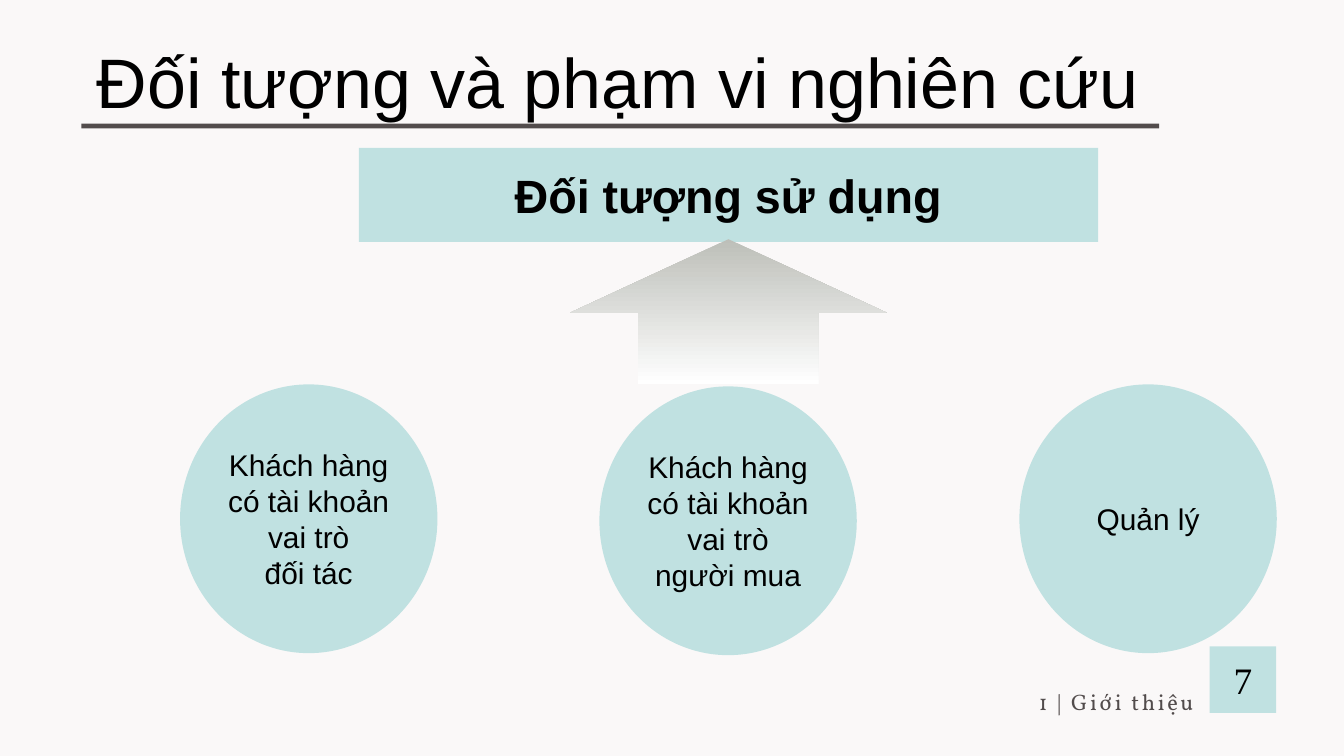
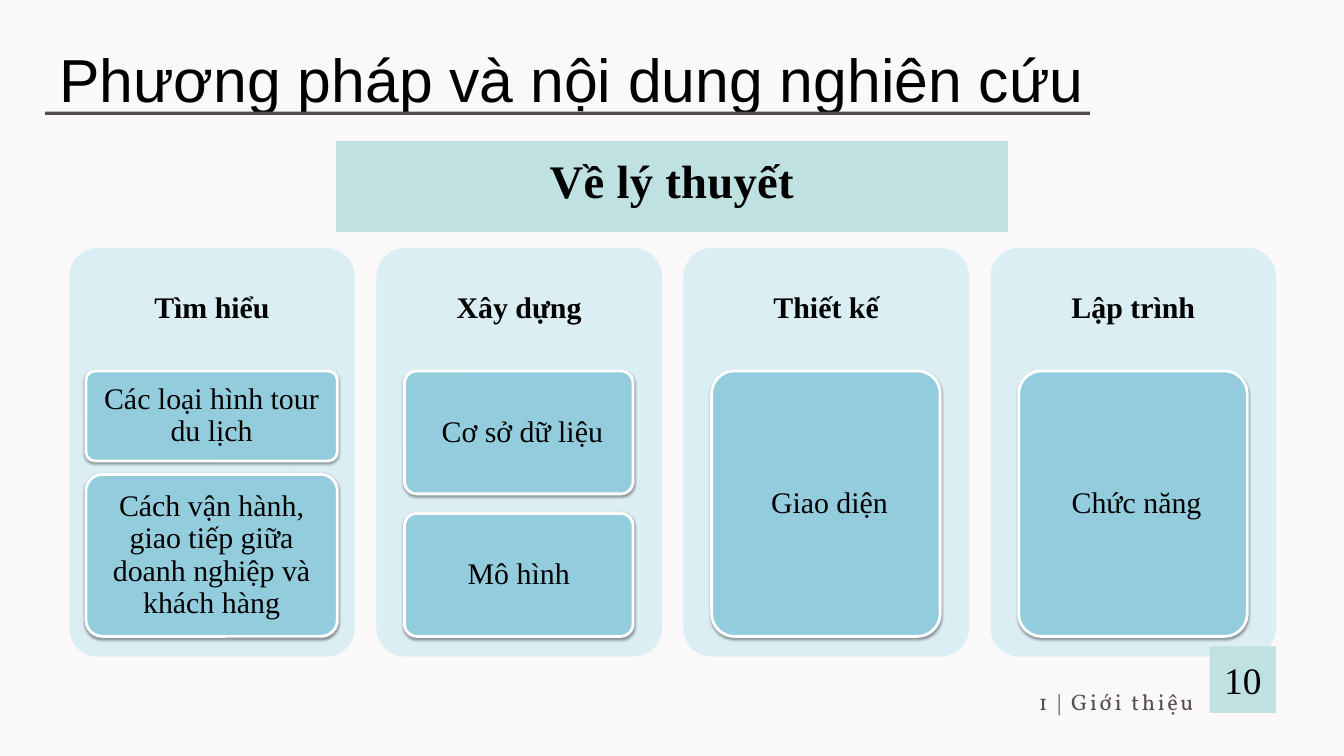
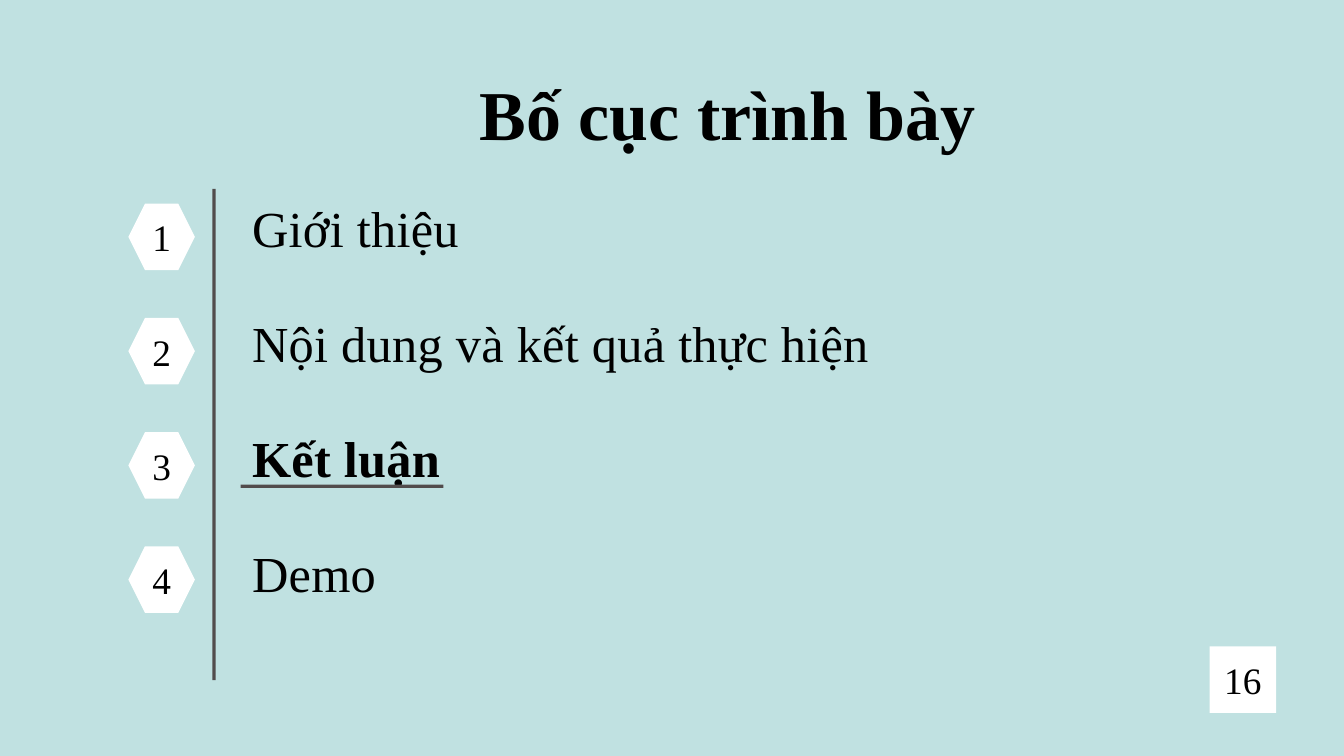
from dataclasses import dataclass

from lxml.etree import SubElement
from pptx import Presentation
from pptx.dml.color import RGBColor
from pptx.enum.shapes import MSO_SHAPE as SHAPE
from pptx.enum.text import MSO_ANCHOR as ANCHOR, MSO_AUTO_SIZE as FIT, PP_ALIGN as ALIGN
from pptx.oxml.ns import qn
from pptx.util import Pt

PX = 9144  # one px is a hundredth of an inch
TITLE_AND_BODY, TITLE_ONLY = 1, 5


@dataclass(frozen=True)
class Style:
    """Type style: font, size and tracking, plus exact or relative leading."""
    name: str
    size: float
    bold: bool = False
    color: str = "000000"
    leading: float = 1.0
    exact: bool = False
    tracking: int = 0


class Theme:
    paper, mint, white = "FAF8F8", "C0E1E1", "FFFFFF"
    rule, panel, card = "524C4C", "DBEEF4", "93CDDD"
    arrow = ("BDBFB9", "FFFFFF")
    serif, sans = "Times New Roman", "Arial"

    title = Style(sans, 75, leading=82.5, exact=True)
    long_title = Style(sans, 65, leading=82.5, exact=True)
    agenda_title = Style(serif, 75, True, leading=82.5, exact=True)
    sans_banner = Style(sans, 50, True)
    serif_banner = Style(serif, 50, True, leading=45, exact=True, tracking=30)
    circle = Style(sans, 32)
    heading = Style(serif, 32, True, leading=0.9)
    card_text = Style(serif, 32, leading=0.9)
    agenda = Style(serif, 54, leading=45, exact=True, tracking=30)
    number = Style(serif, 40)
    footer = Style("Vollkorn", 24, color=rule, leading=33.6, exact=True, tracking=290)


def rgb(value):
    return RGBColor.from_string(value)


def apply(target, **values):
    for name, value in values.items():
        setattr(target, name, value)


class Deck:
    def __init__(self, width, height):
        self.prs = Presentation()
        apply(self.prs, slide_width=width * PX, slide_height=height * PX)
        self.slide = None

    def new_slide(self, background, layout=TITLE_ONLY):
        self.slide = self.prs.slides.add_slide(self.prs.slide_layouts[layout])
        fill = self.slide.background.fill
        fill.solid()
        fill.fore_color.rgb = rgb(background)

    def set_text(self, shape, lines, style, align=ALIGN.CENTER, anchor=ANCHOR.MIDDLE,
                 insets=(10, 5, 10, 5), gap=0, strong=None):
        frame = shape.text_frame
        left, top, right, bottom = (inset * PX for inset in insets)
        apply(frame, word_wrap=True, auto_size=FIT.NONE, vertical_anchor=anchor,
              margin_left=left, margin_top=top, margin_right=right, margin_bottom=bottom)
        for index, line in enumerate(lines):
            paragraph = frame.paragraphs[0] if index == 0 else frame.add_paragraph()
            apply(paragraph, alignment=align, space_before=Pt(gap if index else 0),
                  line_spacing=Pt(style.leading) if style.exact else style.leading)
            run = paragraph.add_run()
            run.text = line
            apply(run.font, name=style.name, size=Pt(style.size),
                  bold=style.bold or line == strong)
            run.font.color.rgb = rgb(style.color)
            if style.tracking:
                run._r.get_or_add_rPr().set("spc", str(style.tracking))

    def place(self, shape, box):
        for name, value in zip(("left", "top", "width", "height"), box):
            setattr(shape, name, value * PX)

    def title(self, text, box, style, align=ALIGN.LEFT):
        title = self.slide.shapes.title
        self.place(title, box)
        self.set_text(title, [text], style, align, ANCHOR.TOP, (0, 0, 0, 0))

    def body(self, lines, box, style, gap, strong):
        body = self.slide.placeholders[1]
        self.place(body, box)
        self.set_text(body, lines, style, ALIGN.LEFT, ANCHOR.TOP, (0, 0, 0, 0), gap, strong)
        for paragraph in body.text_frame.paragraphs:
            props = paragraph._p.get_or_add_pPr()
            props.set("marL", "0")
            props.set("indent", "0")
            SubElement(props, qn("a:buNone"))

    def label(self, text, box, style, **layout):
        holder = self.slide.shapes.add_textbox(*(side * PX for side in box))
        self.set_text(holder, [text], style, **layout)

    def shape(self, kind, box, fill, lines=(), style=None, adjust=(), **layout):
        shape = self.slide.shapes.add_shape(kind, *(side * PX for side in box))
        shape.shadow.inherit = False
        shape.line.fill.background()
        for index, value in enumerate(adjust):
            shape.adjustments[index] = value
        if isinstance(fill, tuple):
            shape.fill.gradient()
            shape.fill.gradient_angle = 270
            for stop, color in zip(shape.fill.gradient_stops, fill):
                stop.color.rgb = rgb(color)
        else:
            shape.fill.solid()
            shape.fill.fore_color.rgb = rgb(fill)
        if lines:
            self.set_text(shape, lines, style, **layout)
        return shape

    def card(self, text, box, shift):
        card = self.shape(SHAPE.ROUNDED_RECTANGLE, box, Theme.card, [text], Theme.card_text,
                          adjust=[0.1], insets=(9 + shift, 7, 9, 7))
        card.line.color.rgb = rgb(Theme.white)
        card.line.width = Pt(3)
        effects = card._element.spPr.find(qn("a:effectLst"))
        shadow = SubElement(effects, qn("a:outerShdw"), blurRad=str(int(Pt(3.1))),
                            dist=str(int(Pt(1.6))), dir="5400000", rotWithShape="0")
        color = SubElement(shadow, qn("a:srgbClr"), val="000000")
        SubElement(color, qn("a:alpha"), val="38000")

    def rule(self, *box):
        self.shape(SHAPE.RECTANGLE, box, Theme.rule)

    def page_number(self, number, fill=Theme.mint):
        self.shape(SHAPE.RECTANGLE, (1800, 962, 99, 99), fill, [number], Theme.number)

    def footer(self, number):
        self.page_number(number)
        self.label("1 | Giới thiệu", (1322, 1018, 678, 44), Theme.footer,
                   anchor=ANCHOR.TOP, insets=(0, 0, 0, 0))


def build_users(deck):
    deck.new_slide(Theme.paper)
    deck.title("Đối tượng và phạm vi nghiên cứu", (144, 68, 1637, 116), Theme.title)
    deck.rule(121, 184, 1604, 7)
    deck.shape(SHAPE.RECTANGLE, (534, 220, 1100, 140), Theme.mint,
               ["Đối tượng sử dụng"], Theme.sans_banner)

    # User roles
    roles = [
        (268, 572, ["Khách hàng có tài khoản vai trò", "đối tác"]),
        (892, 575, ["Khách hàng có tài khoản vai trò người mua"]),
        (1517, 572, ["Quản lý"]),
    ]
    for left, top, role in roles:
        deck.shape(SHAPE.OVAL, (left, top, 383, 400), Theme.mint, role, Theme.circle)
    deck.shape(SHAPE.UP_ARROW, (848, 356, 472, 216), Theme.arrow, adjust=[0.569, 0.508])
    deck.footer("7")


def build_methods(deck):
    deck.new_slide(Theme.paper)
    deck.title("Phương pháp và nội dung nghiên cứu", (88, 56, 1825, 108), Theme.long_title)
    deck.rule(67, 166, 1555, 5)
    deck.shape(SHAPE.RECTANGLE, (500, 210, 1000, 135), Theme.mint,
               ["Về lý thuyết"], Theme.serif_banner)

    # Columns: heading, card width, then (text, height, shift to the right)
    columns = [
        ("Tìm hiểu", 374, [
            ("Các loại hình tour du lịch", 134, 0),
            ("Cách vận hành, giao tiếp giữa doanh nghiệp và khách hàng", 241, 0)]),
        ("Xây dựng", 340, [("Cơ sở dữ liệu", 183, 11), ("Mô hình", 183, 0)]),
        ("Thiết kế", 340, [("Giao diện", 395, 11)]),
        ("Lập trình", 340, [("Chức năng", 395, 11)]),
    ]
    panel_width, pitch, stack_height = 425, 457, 395
    for index, (heading, card_width, cards) in enumerate(columns):
        left = 103 + index * pitch
        deck.shape(SHAPE.ROUNDED_RECTANGLE, (left, 369, panel_width, 608), Theme.panel,
                   adjust=[0.1])
        deck.label(heading, (left, 369, panel_width, 182), Theme.heading,
                   insets=(13, 13, 13, 13))
        spare = stack_height - sum(height for _, height, _ in cards)
        top = 552
        for text, height, shift in cards:
            card_left = left + (panel_width - card_width) // 2
            deck.card(text, (card_left, top, card_width, height), shift)
            top += height + spare
    deck.footer("10")


def build_agenda(deck):
    deck.new_slide(Theme.mint, TITLE_AND_BODY)
    deck.title("Bố cục trình bày", (622, 116, 921, 119), Theme.agenda_title, ALIGN.CENTER)
    deck.rule(316, 281, 5, 731)

    # Sections, with the current one in bold and underlined
    sections = ["Giới thiệu", "Nội dung và kết quả thực hiện", "Kết luận", "Demo"]
    deck.body(sections, (375, 321, 1083, 580), Theme.agenda, gap=78, strong="Kết luận")
    deck.rule(358, 721, 302, 5)
    for index in range(len(sections)):
        deck.shape(SHAPE.HEXAGON, (191, 303 + index * 170, 99, 99), Theme.white,
                   [str(index + 1)], Theme.number)
    deck.page_number("16", Theme.white)


def main():
    deck = Deck(2000, 1125)
    build_users(deck)
    build_methods(deck)
    build_agenda(deck)
    deck.prs.save("out.pptx")


if __name__ == "__main__":
    main()
